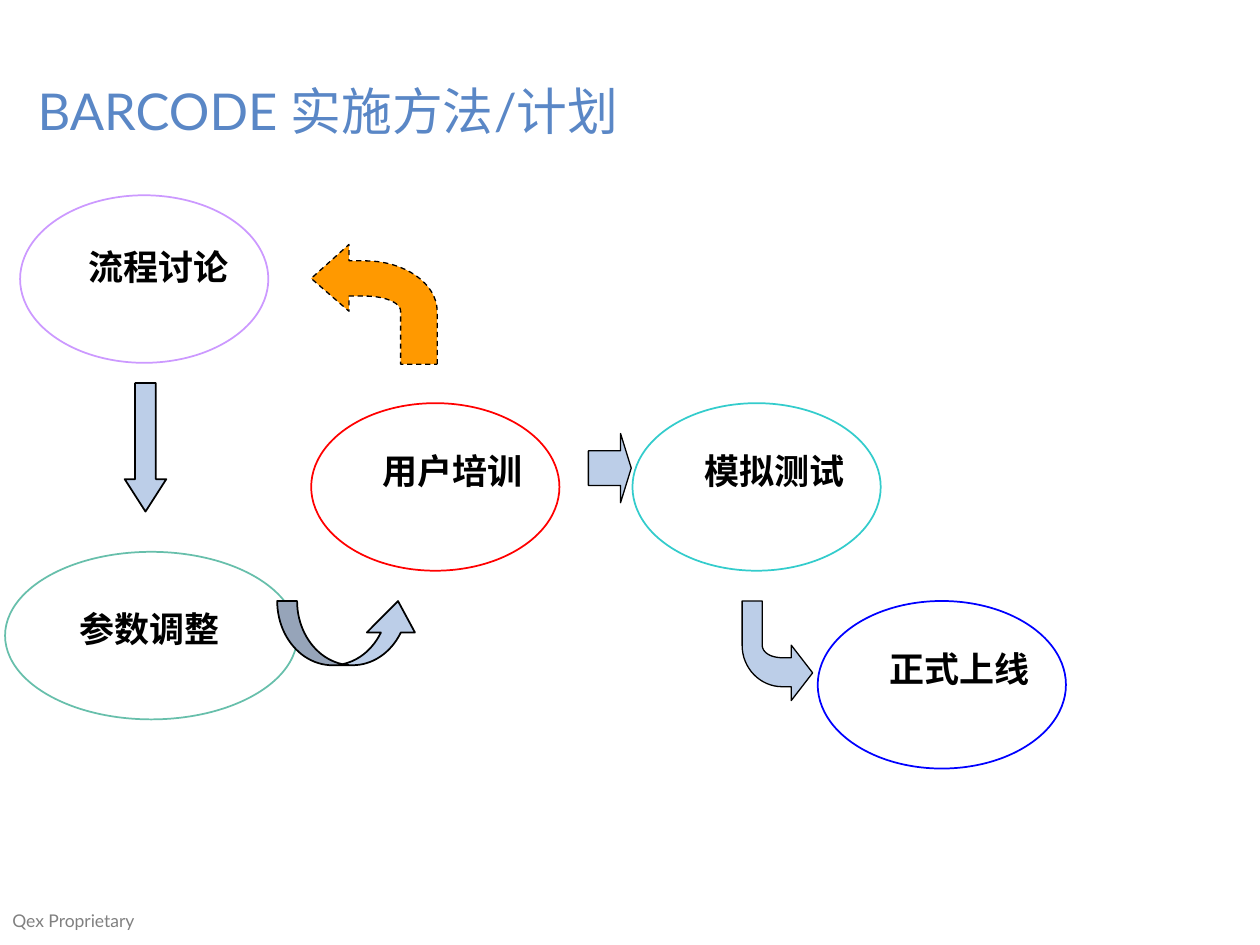
from dataclasses import dataclass
from typing import Optional

from pptx import Presentation
from pptx.dml.color import RGBColor
from pptx.enum.dml import MSO_LINE_DASH_STYLE as DASH
from pptx.enum.shapes import MSO_SHAPE as SHAPE
from pptx.enum.text import MSO_ANCHOR as ANCHOR
from pptx.util import Inches, Pt

BLACK = RGBColor(0x00, 0x00, 0x00)
GRAY = RGBColor(0x80, 0x80, 0x80)
TITLE_BLUE = RGBColor(0x5A, 0x87, 0xC6)
PALE_BLUE = RGBColor(0xBC, 0xCE, 0xE8)
ORANGE = RGBColor(0xFF, 0x99, 0x00)
LILAC = RGBColor(0xCC, 0x99, 0xFF)
GREEN = RGBColor(0x67, 0xBF, 0xAB)
RED = RGBColor(0xFF, 0x00, 0x00)
TEAL = RGBColor(0x33, 0xCC, 0xCC)
BLUE = RGBColor(0x00, 0x00, 0xFF)

STEP_W, STEP_H = 1.97, 1.33
LABEL_W, LABEL_H = 1.31, 0.44
CURVE_STEPS = 16


@dataclass
class Step:
    text: str
    color: RGBColor
    left: float
    top: float
    label_dx: float = 0.47
    label_dy: float = 0.32
    width: float = STEP_W


@dataclass
class Arrow:
    preset: SHAPE
    left: float
    top: float
    width: float
    height: float
    adjustments: tuple
    line_pt: float


@dataclass
class BentArrow:
    outline: list
    fill: RGBColor
    dash: Optional[DASH] = None


STEPS = [
    Step("参数调整", GREEN, 0.04, 4.38, 0.49, 0.39, 2.32),
    Step("流程讨论", LILAC, 0.16, 1.55, 0.44, 0.35),
    Step("用户培训", RED, 2.47, 3.2),
    Step("模拟测试", TEAL, 5.02, 3.2),
    Step("正式上线", BLUE, 6.49, 4.77),
]

ARROWS = [
    Arrow(SHAPE.CURVED_UP_ARROW, 2.2, 4.77, 1.15, 0.51, (0.31, 0.75, 0.49), 1),
    Arrow(SHAPE.DOWN_ARROW, 0.99, 3.04, 0.33, 1.02, (0.5, 0.78), 1),
    Arrow(SHAPE.RIGHT_ARROW, 4.67, 3.44, 0.34, 0.55, (0.5, 0.25), 0.75),
]

BENT_ARROWS = [
    BentArrow([(3.47, 2.89), (3.47, 2.47), (3.47, 2.25, 3.21, 2.07, 2.9, 2.07),
               (2.77, 2.07), (2.77, 1.94), (2.47, 2.21), (2.77, 2.47), (2.77, 2.35),
               (2.9, 2.35), (3.05, 2.35, 3.18, 2.4, 3.18, 2.47), (3.18, 2.89)],
              ORANGE, DASH.DASH),
    BentArrow([(5.89, 4.77), (5.89, 5.12), (5.89, 5.3, 6.03, 5.45, 6.21, 5.45),
               (6.28, 5.45), (6.28, 5.56), (6.45, 5.34), (6.28, 5.12), (6.28, 5.22),
               (6.21, 5.22), (6.12, 5.22, 6.05, 5.18, 6.05, 5.12), (6.05, 4.77)],
              PALE_BLUE),
]


def add_text(s, text: str, box: tuple, font: str, size: float, color: RGBColor,
             bold: bool = False, wrap: bool = True, anchor: ANCHOR = ANCHOR.TOP):
    tf = s.shapes.add_textbox(*map(Inches, box)).text_frame
    tf.word_wrap = wrap
    tf.vertical_anchor = anchor
    p = tf.paragraphs[0]
    p.text = text
    p.font.name, p.font.size, p.font.bold = font, Pt(size), bold
    p.font.color.rgb = color
    return p


def set_style(sp, fill: Optional[RGBColor], line: RGBColor, line_pt: float) -> None:
    sp.shadow.inherit = False
    if fill is None:
        sp.fill.background()
    else:
        sp.fill.solid()
        sp.fill.fore_color.rgb = fill
    sp.line.color.rgb = line
    sp.line.width = Pt(line_pt)


def add_step(s, step: Step) -> None:
    box = (step.left, step.top, step.width, STEP_H)
    set_style(s.shapes.add_shape(SHAPE.OVAL, *map(Inches, box)), None, step.color, 1)
    label = (step.left + step.label_dx, step.top + step.label_dy, LABEL_W, LABEL_H)
    add_text(s, step.text, label, "Times New Roman", 20, BLACK, bold=True, wrap=False)


def add_arrow(s, arrow: Arrow) -> None:
    box = (arrow.left, arrow.top, arrow.width, arrow.height)
    sp = s.shapes.add_shape(arrow.preset, *map(Inches, box))
    for i, value in enumerate(arrow.adjustments):
        sp.adjustments[i] = value
    set_style(sp, PALE_BLUE, BLACK, arrow.line_pt)


def bezier(a: float, b: float, c: float, d: float, t: float) -> float:
    u = 1 - t
    return u**3 * a + 3 * u**2 * t * b + 3 * u * t**2 * c + t**3 * d


def flatten(outline: list) -> list:
    """Turn corners and six-number cubic curves into a plain list of points."""
    points = []
    for part in outline:
        if len(part) == 2:
            points.append(part)
            continue
        x0, y0 = points[-1]
        x1, y1, x2, y2, x3, y3 = part
        for i in range(1, CURVE_STEPS + 1):
            t = i / CURVE_STEPS
            points.append((bezier(x0, x1, x2, x3, t), bezier(y0, y1, y2, y3, t)))
    return points


def add_bent_arrow(s, arrow: BentArrow) -> None:
    start, *rest = [(Inches(x), Inches(y)) for x, y in flatten(arrow.outline)]
    builder = s.shapes.build_freeform(*start)
    builder.add_line_segments(rest, close=True)
    sp = builder.convert_to_shape()
    set_style(sp, arrow.fill, BLACK, 0.75)
    if arrow.dash is not None:
        sp.line.dash_style = arrow.dash


def main() -> None:
    prs = Presentation()
    prs.slide_width, prs.slide_height = Inches(10), Inches(7.5)
    s = prs.slides.add_slide(prs.slide_layouts[6])
    add_text(s, "Qex Proprietary", (0, 7.17, 1.25, 0.44), "Lato", 10, GRAY)
    title = add_text(s, "BARCODE 实施方法/计划", (0.2, 0.28, 9.53, 1.25), "Lato", 29,
                     TITLE_BLUE, anchor=ANCHOR.MIDDLE)
    title.line_spacing = 0.9
    for step in STEPS:
        add_step(s, step)
    for arrow in ARROWS:
        add_arrow(s, arrow)
    for bent_arrow in BENT_ARROWS:
        add_bent_arrow(s, bent_arrow)
    prs.save("out.pptx")


if __name__ == "__main__":
    main()
